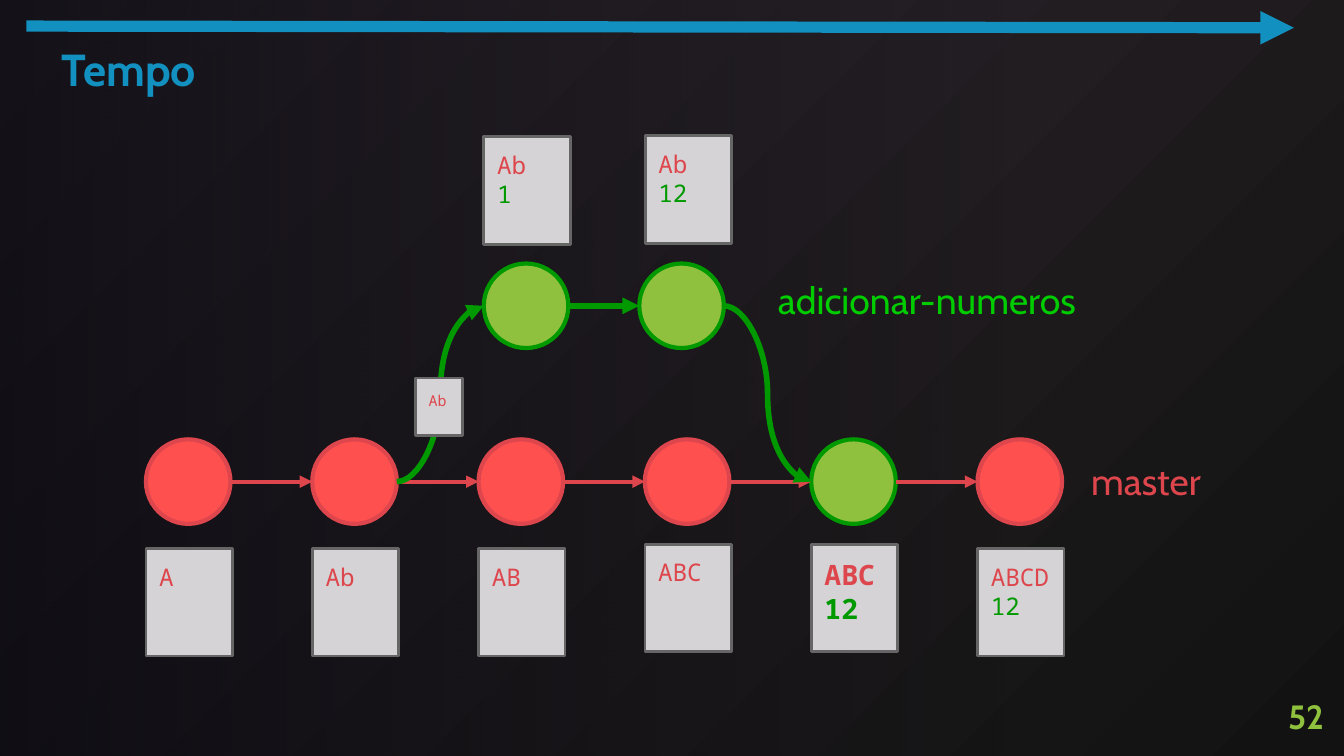
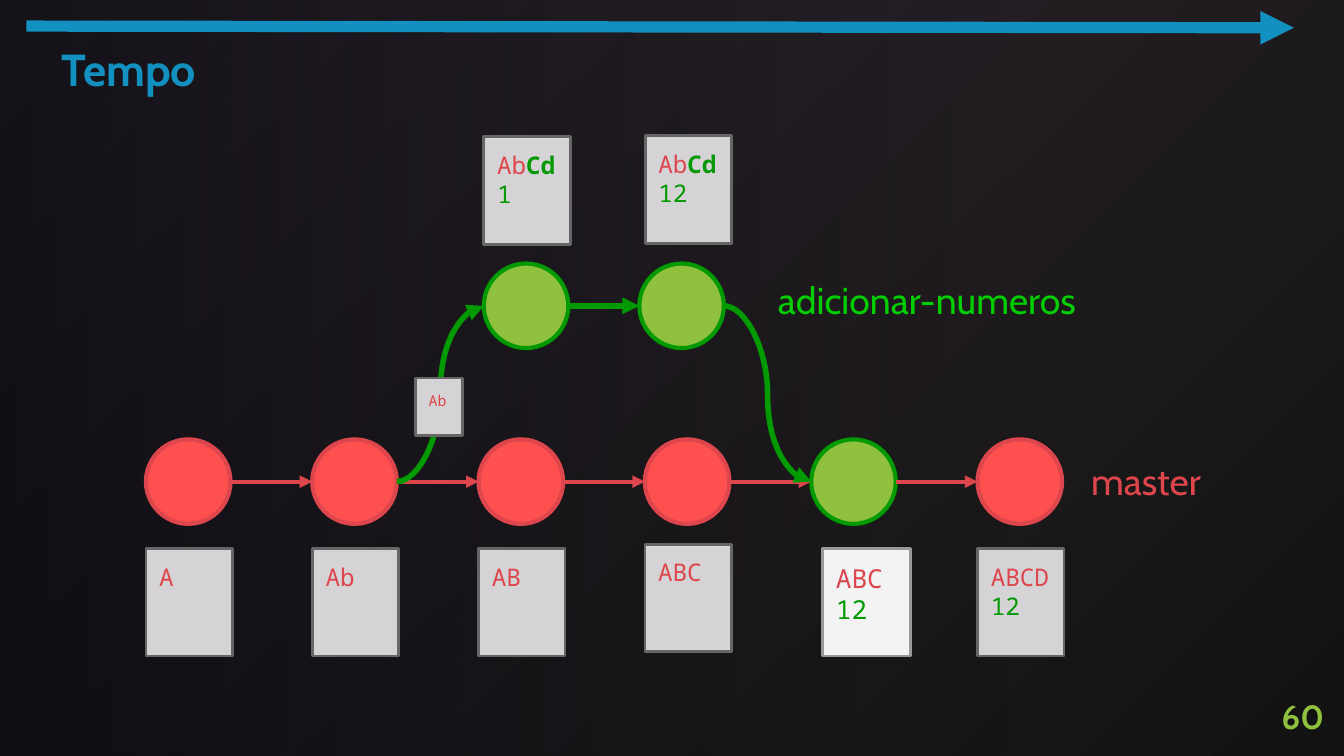
from pptx import Presentation
from pptx.dml.color import RGBColor
from pptx.enum.shapes import MSO_CONNECTOR as Connector, MSO_SHAPE as Preset
from pptx.enum.text import MSO_ANCHOR as Anchor, MSO_AUTO_SIZE as AutoSize, PP_ALIGN as Align
from pptx.oxml.ns import qn
from pptx.util import Pt
from lxml.etree import SubElement

COLORS = {
    "glow": "322931", "dark": "121212", "shade": "000208",
    "blue": "1290BF", "red": "DD464C", "coral": "FF5050",
    "lime": "8FC13E", "green": "009900", "branch": "00CC00",
    "paper": "D5D3D5", "edge": "666666",
    "light_paper": "F3F3F3", "light_edge": "999999",
}
WIDTH, HEIGHT = 720, 405
DIAMETER = 45.3
CARD_WIDTH, CARD_HEIGHT = 46.3, 57.6
MASTER_TOP, BRANCH_TOP = 235.4, 141.2
MASTER_AXIS = MASTER_TOP + DIAMETER / 2
BRANCH_AXIS = BRANCH_TOP + DIAMETER / 2
COLUMNS = [78.2 + 89.1 * index for index in range(6)]
BRANCH_COLUMNS = [259.2, 342.5]
MERGE = 4
LOW_CARD, HIGH_CARD = 293.9, 291.6


def color(name):
    return RGBColor.from_string(COLORS[name])


class TimelineDeck:
    TITLE = {"size": Pt(24), "bold": True, "name": "Cabin"}
    LABEL = {"size": Pt(20), "bold": False, "name": "Cabin"}
    NUMBER = {"size": Pt(18), "bold": True, "name": "Cabin"}
    FRAME = {
        "word_wrap": True, "auto_size": AutoSize.NONE,
        "margin_left": Pt(7.2), "margin_right": Pt(7.2),
        "margin_top": Pt(7.2), "margin_bottom": Pt(7.2),
    }

    def __init__(self):
        self.presentation = Presentation()
        self.presentation.slide_width = Pt(WIDTH)
        self.presentation.slide_height = Pt(HEIGHT)
        self.gradient(self.presentation.slide_master.background.fill, "glow", "dark", 315)
        self.slide = None

    def gradient(self, fill, start, end, angle):
        fill.gradient()
        fill.gradient_angle = angle
        for stop, name in zip(fill.gradient_stops, (start, end)):
            stop.color.rgb = color(name)

    def new_slide(self, title, number):
        self.slide = self.presentation.slides.add_slide(self.presentation.slide_layouts[5])
        self.backdrop()
        self.arrow((14.2, 14), (693.2, 14.9), "blue", 6)
        placeholder = self.slide.shapes.title
        box = {"left": 25.9, "top": 15.1, "width": 272.9, "height": 51.1}
        for name, value in box.items():
            setattr(placeholder, name, Pt(value))
        self.fill_text(placeholder, [[(title, "blue", True)]], self.TITLE)
        self.label(number, (675.4, 361.4, 41, 43.9), "lime", self.NUMBER, Align.RIGHT, Anchor.MIDDLE)

    def backdrop(self):
        shape = self.shape(Preset.RECTANGLE, (0, 0, WIDTH * 0.75, HEIGHT))
        self.gradient(shape.fill, "shade", "shade", 180)
        stops = shape._element.spPr.iter(qn("a:srgbClr"))
        for stop, alpha in zip(stops, (0, 60)):
            SubElement(stop, qn("a:alpha")).set("val", str(alpha * 1000))
        self.slide.shapes._spTree.insert(2, shape._element)

    def shape(self, preset, box, fill=None, line=None, weight=0):
        shape = self.slide.shapes.add_shape(preset, *map(Pt, box))
        shape.shadow.inherit = False
        if fill:
            shape.fill.solid()
            shape.fill.fore_color.rgb = color(fill)
        if line:
            shape.line.color.rgb = color(line)
            shape.line.width = Pt(weight)
        else:
            shape.line.fill.background()
        return shape

    def fill_text(self, shape, lines, style, align=Align.LEFT, anchor=Anchor.TOP):
        frame = shape.text_frame
        for name, value in {**self.FRAME, "vertical_anchor": anchor}.items():
            setattr(frame, name, value)
        for index, pieces in enumerate(lines):
            paragraph = frame.add_paragraph() if index else frame.paragraphs[0]
            paragraph.alignment = align
            for text, ink, bold in pieces:
                run = paragraph.add_run()
                run.text = text
                for name, value in {**style, "bold": bold}.items():
                    setattr(run.font, name, value)
                run.font.color.rgb = color(ink)

    def label(self, text, box, ink, style, align=Align.LEFT, anchor=Anchor.TOP):
        shape = self.slide.shapes.add_textbox(*map(Pt, box))
        self.fill_text(shape, [[(text, ink, style["bold"])]], style, align, anchor)

    def arrow(self, start, end, ink, weight, kind=Connector.STRAIGHT):
        connector = self.slide.shapes.add_connector(kind, *map(Pt, start + end))
        connector.line.color.rgb = color(ink)
        connector.line.width = Pt(weight)
        SubElement(connector.line._get_or_add_ln(), qn("a:tailEnd")).set("type", "triangle")
        SubElement(connector._element.spPr, qn("a:effectLst"))

    def commit(self, left, top, fill, line):
        self.shape(Preset.OVAL, (left, top, DIAMETER, DIAMETER), fill, line, 2.25)

    def card(self, left, top, lines, size=13, width=CARD_WIDTH, height=CARD_HEIGHT,
             fill="paper", line="edge"):
        shape = self.shape(Preset.RECTANGLE, (left, top, width, height), fill, line, 1.5)
        self.fill_text(shape, lines, {"size": Pt(size), "name": "Noto Sans Mono"})

    def commit_graph(self):
        for index, left in enumerate(COLUMNS):
            colors = ("lime", "green") if index == MERGE else ("coral", "red")
            self.commit(left, MASTER_TOP, *colors)
        for left, following in zip(COLUMNS, COLUMNS[1:]):
            self.arrow((left + DIAMETER, MASTER_AXIS), (following, MASTER_AXIS), "red", 2.25)
        for left in BRANCH_COLUMNS:
            self.commit(left, BRANCH_TOP, "lime", "green")
        first, last = BRANCH_COLUMNS
        self.arrow((first + DIAMETER, BRANCH_AXIS), (last, BRANCH_AXIS), "green", 3)
        self.arrow((COLUMNS[1] + DIAMETER, MASTER_AXIS), (first, BRANCH_AXIS),
                   "green", 3, Connector.CURVE)
        self.arrow((last + DIAMETER, BRANCH_AXIS), (COLUMNS[MERGE], MASTER_AXIS),
                   "green", 3, Connector.CURVE)
        self.label("adicionar-numeros", (409.7, 141.1, 208, 31), "branch", self.LABEL)
        self.label("master", (577.4, 238.3, 137.5, 31), "red", self.LABEL)

    def file_cards(self, branch_addition, merge_card):
        tops = (LOW_CARD, LOW_CARD, LOW_CARD, HIGH_CARD)
        for left, top, text in zip(COLUMNS, tops, ("A", "Ab", "AB", "ABC")):
            self.card(left, top, [[(text, "red", False)]])
        self.card(222.5, 202.5, [[("Ab", "red", False)]], size=8, width=25.2, height=31)
        for left, top, digits in ((259.2, 73.3, "1"), (345.6, 72.7, "12")):
            letters = [("Ab", "red", False)] + branch_addition
            self.card(left, top, [letters, [(digits, "green", False)]])
        self.card(COLUMNS[5], LOW_CARD, merged_lines("ABCD"))
        self.card(**merge_card)


def merged_lines(letters, bold=False):
    return [[(letters, "red", bold)], [("12", "green", bold)]]


def main():
    deck = TimelineDeck()
    versions = [
        ("52", [], {"left": COLUMNS[MERGE], "top": HIGH_CARD, "size": 15,
                    "lines": merged_lines("ABC", True)}),
        ("60", [("Cd", "green", True)],
         {"left": 440.7, "top": LOW_CARD, "size": 14, "width": 47, "lines": merged_lines("ABC"),
          "fill": "light_paper", "line": "light_edge"}),
    ]
    for number, branch_addition, merge_card in versions:
        deck.new_slide("Tempo", number)
        deck.commit_graph()
        deck.file_cards(branch_addition, merge_card)
    deck.presentation.save("out.pptx")


if __name__ == "__main__":
    main()
